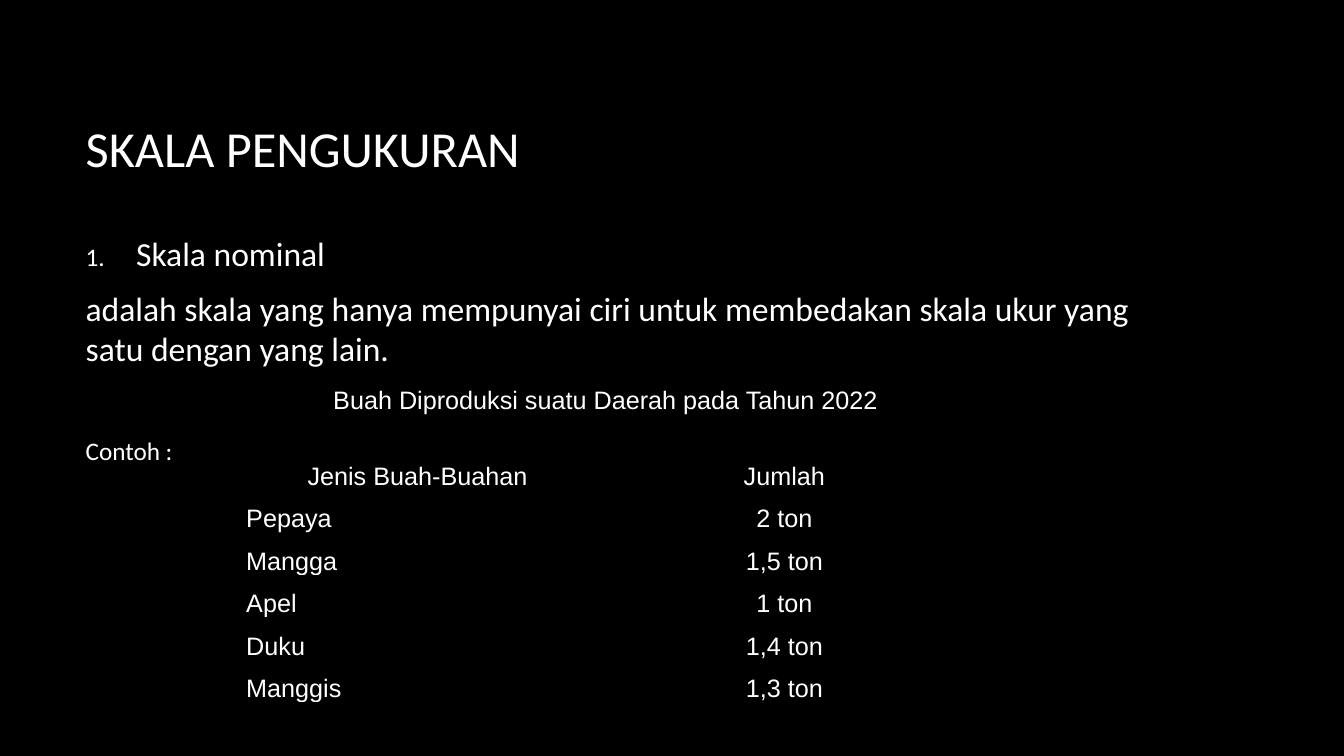
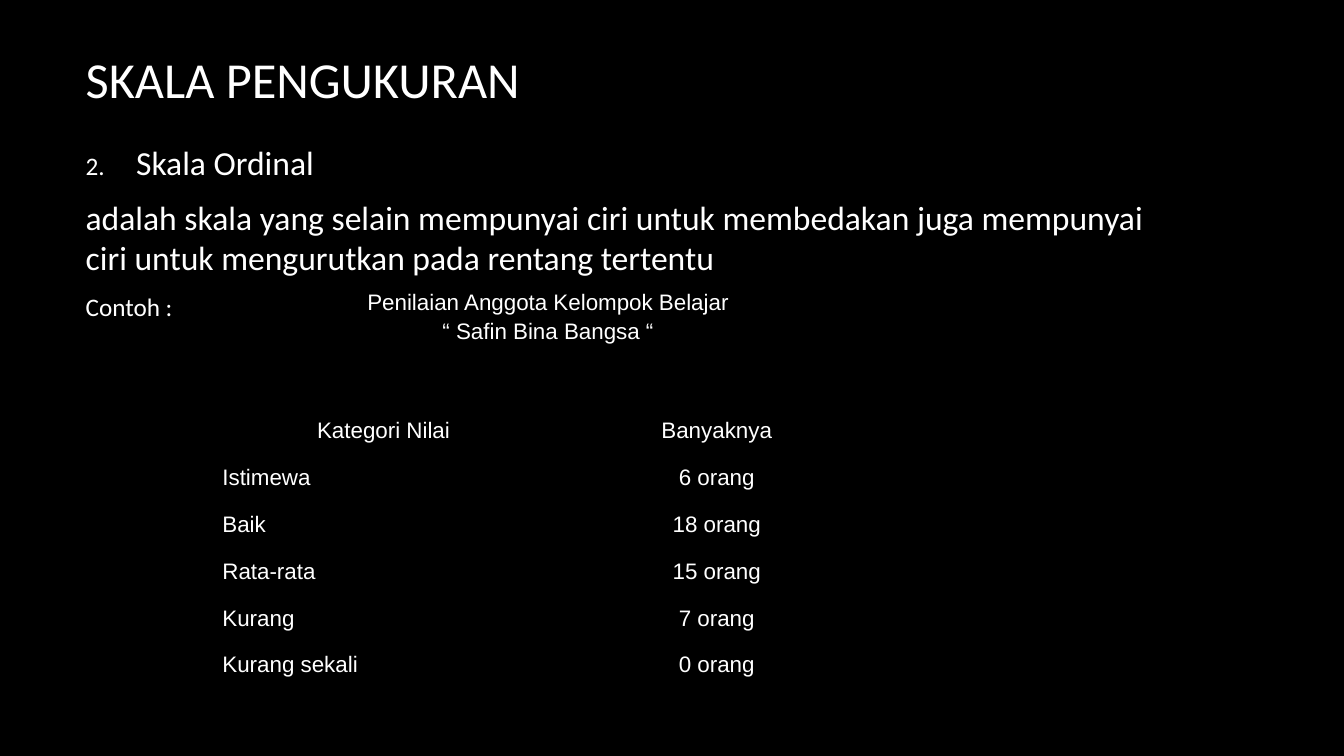
from lxml.etree import SubElement
from pptx import Presentation
from pptx.dml.color import RGBColor
from pptx.enum.text import MSO_ANCHOR, MSO_AUTO_SIZE, PP_ALIGN
from pptx.oxml.ns import qn
from pptx.util import Pt

BLACK = RGBColor(0x00, 0x00, 0x00)
WHITE = RGBColor(0xFF, 0xFF, 0xFF)
LEFT, WIDTH = 54, 798
HEADING, BODY, SMALL = 36, 24, 18
HANGING = 36


class Lesson:
    """Holds the deck, its style and the slide being filled."""

    def __init__(self):
        self.deck = Presentation()
        self.deck.slide_width, self.deck.slide_height = Pt(960), Pt(540)
        background = self.deck.slide_master.background.fill
        background.solid()
        background.fore_color.rgb = BLACK
        self.page = None

    def add_page(self):
        self.page = self.deck.slides.add_slide(self.deck.slide_layouts[1])

    def place(self, box, top, height, anchor):
        box.left, box.top, box.width, box.height = map(Pt, (LEFT, top, WIDTH, height))
        frame = box.text_frame
        settings = {"word_wrap": True, "auto_size": MSO_AUTO_SIZE.NONE, "vertical_anchor": anchor}
        for name, value in settings.items():
            setattr(frame, name, value)
        return frame

    def add_text(self, para, text, size, font="Calibri", **layout):
        """Put one span into the paragraph; layout holds paragraph settings."""
        for name, value in layout.items():
            setattr(para, name, value)
        span = para.add_run()
        span.text = text
        for name, value in {"name": font, "size": Pt(size), "bold": False}.items():
            setattr(span.font, name, value)
        span.font.color.rgb = WHITE

    def paragraphs(self, frame, count):
        return [frame.paragraphs[0]] + [frame.add_paragraph() for _ in range(count - 1)]

    def title(self, text, top, height):
        frame = self.place(self.page.shapes.title, top, height, MSO_ANCHOR.MIDDLE)
        self.add_text(frame.paragraphs[0], text, HEADING, alignment=PP_ALIGN.LEFT)

    def number(self, para, start):
        """Number the paragraph from start, or clear its bullet if start is None."""
        properties = para._p.get_or_add_pPr()
        indent = Pt(HANGING) if start else 0
        properties.set("marL", str(indent))
        properties.set("indent", str(-indent))
        if start:
            SubElement(properties, qn("a:buSzPct"), val="75000")
            SubElement(properties, qn("a:buFont"), typeface="+mj-lt")
            SubElement(properties, qn("a:buAutoNum"), type="arabicPeriod", startAt=str(start))
        else:
            SubElement(properties, qn("a:buNone"))

    def definition(self, number, term, meaning, top, gap):
        """Numbered term, its meaning and, after the gap, the example label."""
        frame = self.place(self.page.placeholders[1], top, 287, MSO_ANCHOR.TOP)
        lines = [(term, BODY, 10, number), (meaning, BODY, gap, None), ("Contoh :", SMALL, 10, None)]
        for para, (text, size, after, start) in zip(self.paragraphs(frame, len(lines)), lines):
            self.add_text(para, text, size, alignment=PP_ALIGN.LEFT, line_spacing=1.0,
                          space_before=Pt(0), space_after=Pt(after))
            self.number(para, start)

    def style_cell(self, cell):
        margins = {"margin_left": 5.4, "margin_right": 5.4, "margin_top": 0, "margin_bottom": 0}
        for name, value in margins.items():
            setattr(cell, name, Pt(value))
        cell.vertical_anchor = MSO_ANCHOR.TOP
        properties = cell._tc.get_or_add_tcPr()
        for side in ("lnL", "lnR", "lnT", "lnB"):
            line = SubElement(properties, qn(f"a:{side}"), w=str(Pt(1)))
            fill = SubElement(line, qn("a:solidFill"))
            SubElement(fill, qn("a:srgbClr"), val=str(BLACK))
        cell.fill.background()

    def table(self, caption, rows, left, top, widths, caption_height, row_height, size):
        """Table with a merged caption row, a centred header and data rows."""
        height = caption_height + row_height * len(rows)
        table = self.page.shapes.add_table(
            len(rows) + 1, len(widths), Pt(left), Pt(top), Pt(sum(widths)), Pt(height)).table
        table.first_row = table.horz_banding = False
        for column, width in zip(table.columns, widths):
            column.width = Pt(width)
        for index, row in enumerate(table.rows):
            row.height = Pt(row_height if index else caption_height)
        for cell in table.iter_cells():
            self.style_cell(cell)
        table.cell(0, 0).merge(table.cell(0, len(widths) - 1))
        frame = table.cell(0, 0).text_frame
        for para, text in zip(self.paragraphs(frame, len(caption)), caption):
            self.add_text(para, text, size, "Arial", alignment=PP_ALIGN.CENTER, line_spacing=1.15)
        for row, texts in enumerate(rows, 1):
            for column, text in enumerate(texts):
                is_label = row > 1 and column == 0
                self.add_text(table.cell(row, column).text_frame.paragraphs[0], text, size, "Arial",
                              alignment=PP_ALIGN.JUSTIFY if is_label else PP_ALIGN.CENTER,
                              line_spacing=1.5)


def main():
    lesson = Lesson()

    lesson.add_page()
    lesson.title("SKALA PENGUKURAN", 48, 114.5)
    lesson.definition(1, "Skala nominal", "adalah skala yang hanya mempunyai ciri untuk membedakan "
                      "skala ukur yang satu dengan yang lain.", top=163, gap=48)
    fruit = [("Jenis Buah-Buahan", "Jumlah"), ("Pepaya", "2 ton"), ("Mangga", "1,5 ton"),
             ("Apel", "1 ton"), ("Duku", "1,4 ton"), ("Manggis", "1,3 ton")]
    lesson.table(["Buah Diproduksi suatu Daerah pada Tahun 2022"], fruit, left=170.5, top=273.5,
                 widths=(255.5, 268.5), caption_height=47, row_height=30, size=18)

    lesson.add_page()
    lesson.title("SKALA PENGUKURAN", 13.5, 85)
    lesson.definition(2, "Skala Ordinal", "adalah skala yang selain mempunyai ciri untuk membedakan "
                      "juga mempunyai ciri untuk mengurutkan pada rentang tertentu", top=98, gap=10)
    grades = [("Kategori Nilai", "Banyaknya"), ("Istimewa", "6 orang"), ("Baik", "18 orang"),
              ("Rata-rata", "15 orang"), ("Kurang", "7 orang"), ("Kurang sekali", "0 orang")]
    lesson.table(["Penilaian Anggota Kelompok Belajar", "“ Safin Bina Bangsa “"], grades,
                 left=153.5, top=205, widths=(241, 235), caption_height=85, row_height=33.5, size=16)

    lesson.deck.save("out.pptx")


if __name__ == "__main__":
    main()
